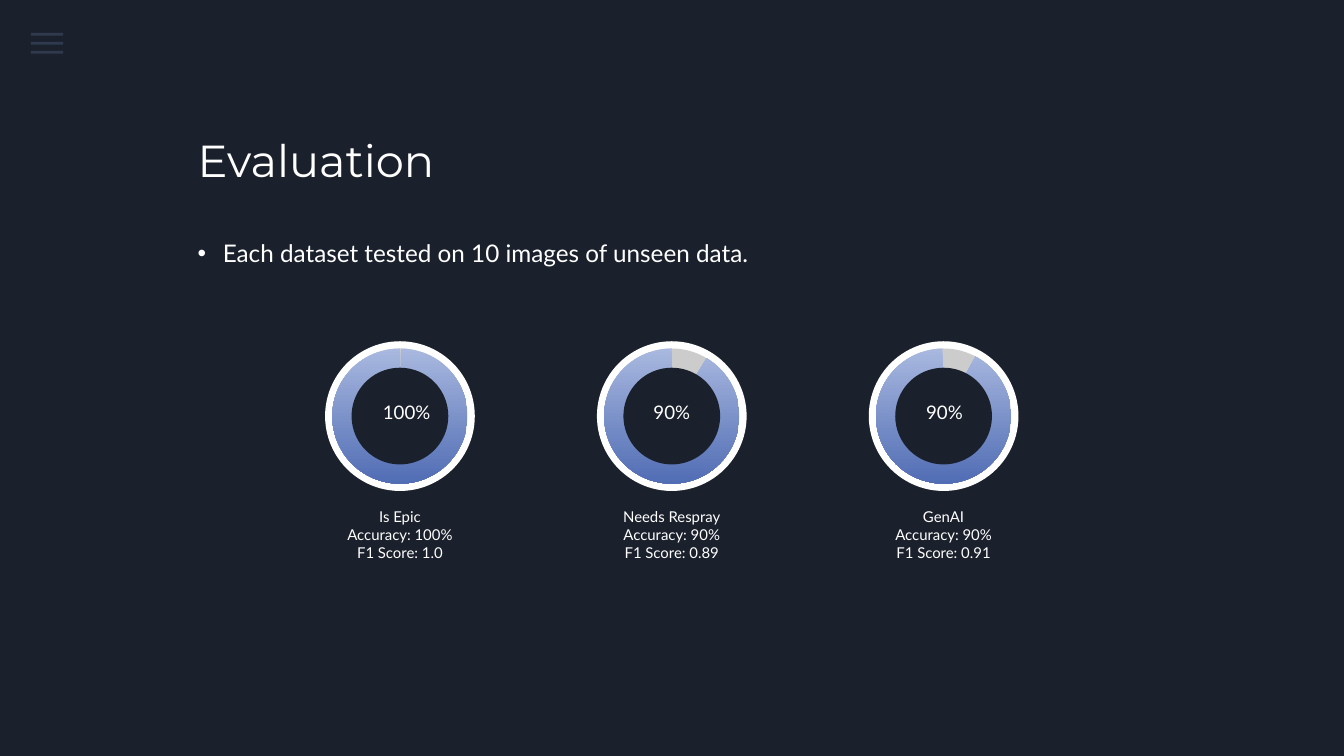
from lxml.etree import SubElement
from pptx import Presentation
from pptx.dml.color import RGBColor
from pptx.enum.shapes import MSO_SHAPE
from pptx.enum.text import MSO_ANCHOR, MSO_AUTO_SIZE, PP_ALIGN
from pptx.oxml.ns import qn
from pptx.util import Pt

COLORS = {
    "background": "1B212C",
    "menu": "55688B",
    "text": "FFFFFF",
    "ring": "FFFFFF",
    "track": "CCCCCC",
    "gradient top": "A8B8DF",
    "gradient bottom": "516DB4",
}
RGB = {name: RGBColor.from_string(value) for name, value in COLORS.items()}

TITLE = {"name": "Montserrat", "size": Pt(48)}
BODY = {"name": "Lato", "size": Pt(26)}
VALUE = {"name": "Lato", "size": Pt(20)}
CAPTION = {"name": "Lato", "size": Pt(16)}

# Name, accuracy, F1 score, start and end of the arc in degrees,
# centre of the value text relative to the donut
DONUTS = [
    ("Is Epic", "100%", "1.0", 271, 270, 7.2),
    ("Needs Respray", "90%", "0.89", 301, 270, 0),
    ("GenAI", "90%", "0.91", 298, 269, 0.9),
]
FIRST_CENTER, PITCH, CENTER_Y = 428.5, 291.25, 445.8
RING, TRACK, HOLE = 160.4, 144.8, 103.6  # diameters


def add_filled(kind, left, top, width, height, color):
    shape = slide.shapes.add_shape(kind, Pt(left), Pt(top), Pt(width), Pt(height))
    shape.shadow.inherit = False
    shape.line.fill.background()
    shape.fill.solid()
    shape.fill.fore_color.rgb = RGB[color]
    return shape


def write(box, place, lines, font, spacing, align=PP_ALIGN.LEFT):
    """Place a text shape and fill it with one paragraph per line."""
    box.left, box.top, box.width, box.height = (Pt(length) for length in place)
    frame = box.text_frame
    frame.word_wrap = True
    frame.auto_size = MSO_AUTO_SIZE.NONE
    frame.vertical_anchor = MSO_ANCHOR.TOP
    for side in ("left", "top", "right", "bottom"):
        setattr(frame, f"margin_{side}", 0)
    frame.text = "\n".join(lines)
    for para in frame.paragraphs:
        para.alignment = align
        para.line_spacing = Pt(spacing)
        para.space_before = Pt(0)
        for name, value in font.items():
            setattr(para.font, name, value)
        para.font.color.rgb = RGB["text"]


deck = Presentation()
deck.slide_width, deck.slide_height = Pt(1440), Pt(810)
slide = deck.slides.add_slide(deck.slide_layouts[1])
slide.background.fill.solid()
slide.background.fill.fore_color.rgb = RGB["background"]

# Title and introduction
title, body = slide.placeholders
write(title, (211.7, 133.9, 869, 85.7), ["Evaluation"], TITLE, 66.2)
intro = "Each dataset tested on 10 images of unseen data."
body_properties = body.text_frame.paragraphs[0]._p.get_or_add_pPr()
body_properties.set("marL", "0")
body_properties.set("indent", "0")
SubElement(body_properties, qn("a:buNone"))
write(body, (211.7, 250.6, 869, 69.8), [intro], BODY, 35.9)

# Menu icon
for row in range(3):
    bar = add_filled(MSO_SHAPE.RECTANGLE, 33, 35.2 + row * 9.7, 34.8, 2.9, "menu")
    color = bar.fill._xPr.find(qn("a:solidFill"))[0]
    SubElement(color, qn("a:alpha"), val="36000")

# Donuts with their values and captions
for index, (name, accuracy, score, start, end, shift) in enumerate(DONUTS):
    center = FIRST_CENTER + index * PITCH
    for kind, diameter, fill in (
        (MSO_SHAPE.OVAL, RING, "ring"),
        (MSO_SHAPE.OVAL, TRACK, "track"),
        (MSO_SHAPE.PIE, TRACK, "gradient top"),
        (MSO_SHAPE.OVAL, HOLE, "background"),
    ):
        left, top = center - diameter / 2, CENTER_Y - diameter / 2
        disc = add_filled(kind, left, top, diameter, diameter, fill)
        if kind == MSO_SHAPE.PIE:
            # Angles are in 1/60000 degree, adjustments in 1/100000
            disc.adjustments[0] = start * 0.6
            disc.adjustments[1] = end * 0.6
            disc.fill.gradient()
            disc.fill.gradient_angle = 270
            stops = disc.fill.gradient_stops
            for stop, position, end_name in zip(stops, (0, 1), ("top", "bottom")):
                stop.position = position
                stop.color.rgb = RGB[f"gradient {end_name}"]

    value_box = slide.shapes.add_textbox(0, 0, 0, 0)
    place = (center + shift - 36.5, 425.5, 73, 31)
    write(value_box, place, [accuracy], VALUE, 27.6, PP_ALIGN.CENTER)

    caption_box = slide.shapes.add_textbox(0, 0, 0, 0)
    lines = [name, f"Accuracy: {accuracy}", f"F1 Score: {score}"]
    place = (center - 76.3, 543.6, 152.6, 55)
    write(caption_box, place, lines, CAPTION, 19.2, PP_ALIGN.CENTER)

deck.save("out.pptx")
